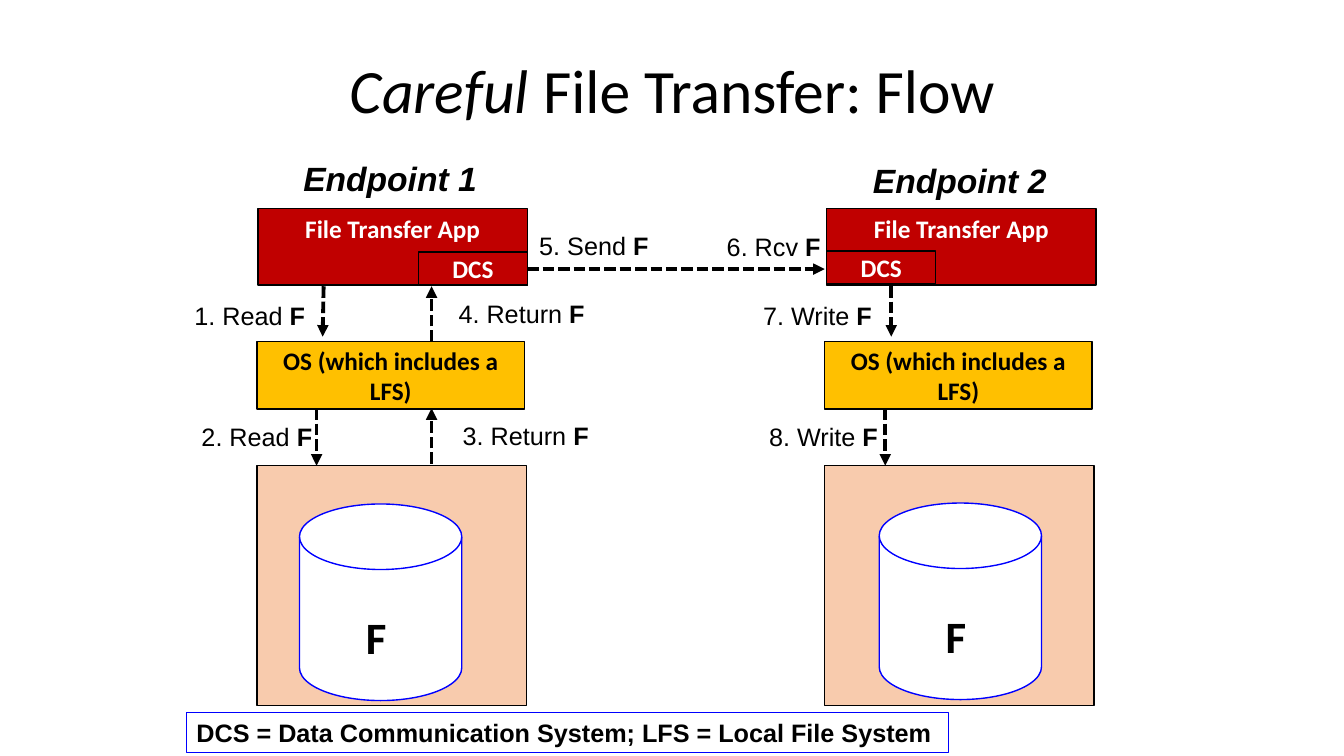
from dataclasses import dataclass

import pptx
import pptx.dml.color
import pptx.enum.dml
import pptx.enum.shapes
import pptx.enum.text
import pptx.oxml
import pptx.oxml.ns
import pptx.util

Inches = pptx.util.Inches
Pt = pptx.util.Pt
RGBColor = pptx.dml.color.RGBColor
Kind = pptx.enum.shapes.MSO_SHAPE
Align = pptx.enum.text.PP_ALIGN
Anchor = pptx.enum.text.MSO_ANCHOR

BLACK = RGBColor(0x00, 0x00, 0x00)
WHITE = RGBColor(0xFF, 0xFF, 0xFF)
RED = RGBColor(0xC0, 0x00, 0x00)
GOLD = RGBColor(0xFF, 0xC0, 0x00)
PEACH = RGBColor(0xF8, 0xCB, 0xAD)
BLUE = RGBColor(0x00, 0x00, 0xFF)


@dataclass
class Endpoint:
    name: str
    left: float
    app: float
    dcs: tuple[float, float]
    disk: tuple[float, float]
    head: tuple[float, float]


@dataclass
class Step:
    text: str
    left: float
    top: float
    width: float


@dataclass
class Arrow:
    start: tuple[float, float]
    end: tuple[float, float]


ENDPOINTS = [
    Endpoint("Endpoint 1", 2.55, 2.56, (4.15, 2.5), (2.97, 5), (2.91, 1.52)),
    Endpoint("Endpoint 2", 8.18, 8.2, (8.2, 2.49), (8.72, 4.99), (8.56, 1.54)),
]
STEPS = [
    Step("1. Read ", 1.83, 2.93, 1.31),
    Step("2. Read ", 1.9, 4.13, 1.31),
    Step("3. Return ", 4.49, 4.12, 1.46),
    Step("4. Return ", 4.45, 2.91, 1.46),
    Step("5. Send ", 5.25, 2.24, 1.3),
    Step("6. Rcv ", 7.11, 2.25, 1.14),
    Step("7. Write ", 7.47, 2.93, 1.29),
    Step("8. Write ", 7.53, 4.13, 1.29),
]
ARROWS = [
    Arrow((3.21, 2.84), (3.2, 3.34)),
    Arrow((3.14, 4.05), (3.14, 4.62)),
    Arrow((4.28, 4.6), (4.28, 4.05)),
    Arrow((4.28, 3.39), (4.28, 2.84)),
    Arrow((5.23, 2.67), (8.18, 2.67)),
    Arrow((8.84, 2.84), (8.84, 3.34)),
    Arrow((8.78, 4.05), (8.78, 4.62)),
]


def write(shape, text: str, *, size: float = 18, font: str = "Arial",
          color: RGBColor = BLACK, bold: bool = False, italic: bool = False,
          align=Align.LEFT, anchor=Anchor.TOP, wrap: bool = True) -> None:
    """Append a run to the shape's first paragraph."""
    frame = shape.text_frame
    frame.word_wrap = wrap
    frame.vertical_anchor = anchor
    line = frame.paragraphs[0]
    line.alignment = align
    run = line.add_run()
    run.text = text
    run.font.size = Pt(size)
    run.font.name = font
    run.font.color.rgb = color
    run.font.bold = bold
    run.font.italic = italic


def add_box(slide, left: float, top: float, width: float, height: float):
    return slide.shapes.add_textbox(
        Inches(left), Inches(top), Inches(width), Inches(height))


def add_form(slide, left: float, top: float, width: float, height: float,
             fill: RGBColor | None, *, kind=Kind.RECTANGLE,
             edge: RGBColor = BLACK, weight: float = 1):
    form = slide.shapes.add_shape(
        kind, Inches(left), Inches(top), Inches(width), Inches(height))
    form.shadow.inherit = False
    if fill is None:
        form.fill.background()
    else:
        form.fill.solid()
        form.fill.fore_color.rgb = fill
    form.line.color.rgb = edge
    form.line.width = Pt(weight)
    return form


def add_arrow(slide, arrow: Arrow) -> None:
    points = [Inches(v) for v in arrow.start + arrow.end]
    link = slide.shapes.add_connector(
        pptx.enum.shapes.MSO_CONNECTOR.STRAIGHT, *points)
    link.line.color.rgb = BLACK
    link.line.width = Pt(2.75)
    link.line.dash_style = pptx.enum.dml.MSO_LINE.SQUARE_DOT
    props = link._element.spPr
    stroke = link.line._get_or_add_ln()
    space = pptx.oxml.ns.nsdecls("a")
    dash = stroke.find(pptx.oxml.ns.qn("a:prstDash"))
    dash.set("val", "sysDash")
    stroke.append(pptx.oxml.parse_xml(f'<a:tailEnd {space} type="triangle"/>'))
    props.append(pptx.oxml.parse_xml(f"<a:effectLst {space}/>"))


def add_end(slide, end: Endpoint) -> None:
    """Draw one endpoint: heading, app, operating system and disk."""
    label = dict(font="Calibri", bold=True, align=Align.CENTER)
    add_form(slide, end.left, 4.62, 2.67, 2.38, PEACH)
    system = add_form(slide, end.left, 3.39, 2.65, 0.67, GOLD)
    write(system, "OS (which includes a LFS)", anchor=Anchor.MIDDLE, **label)
    app = add_form(slide, end.app, 2.07, 2.67, 0.76, RED)
    write(app, "File Transfer App", color=WHITE, **label)
    dcs = add_form(slide, *end.dcs, 1.08, 0.33, RED)
    write(dcs, "DCS", color=WHITE, anchor=Anchor.MIDDLE, **label)
    add_form(slide, *end.disk, 1.61, 1.95, WHITE,
             kind=Kind.FLOWCHART_MAGNETIC_DISK, edge=BLUE)
    left, top = end.disk
    file = add_box(slide, left + 0.56, top + 1, 0.41, 0.64)
    write(file, "F", size=32, font="Calibri", bold=True, wrap=False)
    head = add_box(slide, *end.head, 1.94, 0.5)
    write(head, end.name, size=24, bold=True, italic=True, wrap=False)


def add_step(slide, step: Step) -> None:
    box = add_box(slide, step.left, step.top, step.width, 0.4)
    write(box, step.text, wrap=False)
    write(box, "F", bold=True, wrap=False)


def main() -> None:
    deck = pptx.Presentation()
    deck.slide_width = Inches(13.33)
    deck.slide_height = Inches(7.5)
    slide = deck.slides.add_slide(deck.slide_layouts[6])

    title = add_box(slide, 2.17, 0.35, 9, 1.15)
    style = dict(size=44, font="Calibri", align=Align.CENTER,
                 anchor=Anchor.MIDDLE)
    write(title, "Careful", italic=True, **style)
    write(title, " File Transfer: Flow", **style)
    title.text_frame.paragraphs[0].line_spacing = 0.9

    for end in ENDPOINTS:
        add_end(slide, end)
    for arrow in ARROWS:
        add_arrow(slide, arrow)
    for step in STEPS:
        add_step(slide, step)

    legend = add_form(slide, 1.85, 7.07, 7.56, 0.4, None,
                      edge=BLUE, weight=0.75)
    write(legend, "DCS = Data Communication System; LFS = Local File System",
          bold=True)
    deck.save("out.pptx")


if __name__ == "__main__":
    main()
